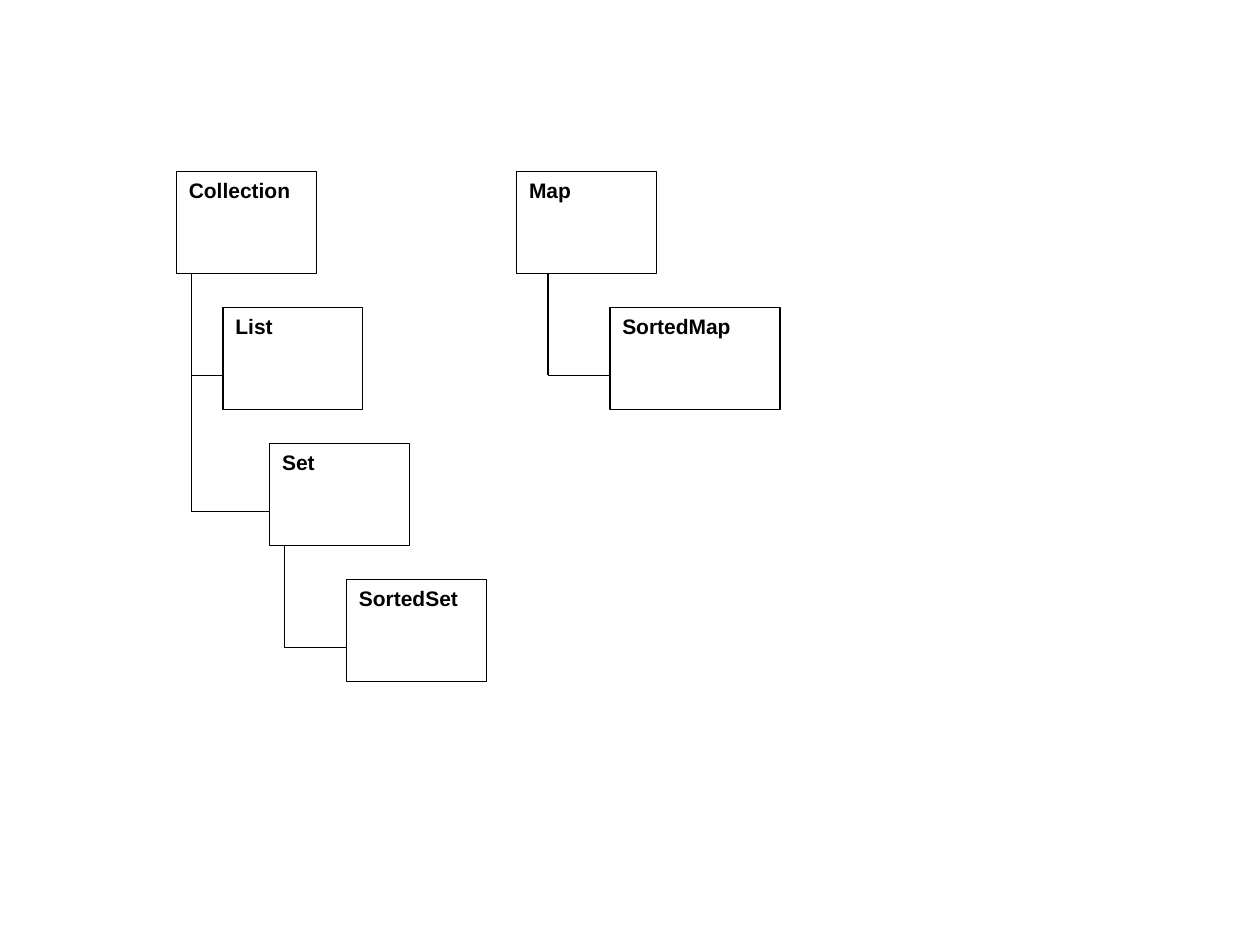
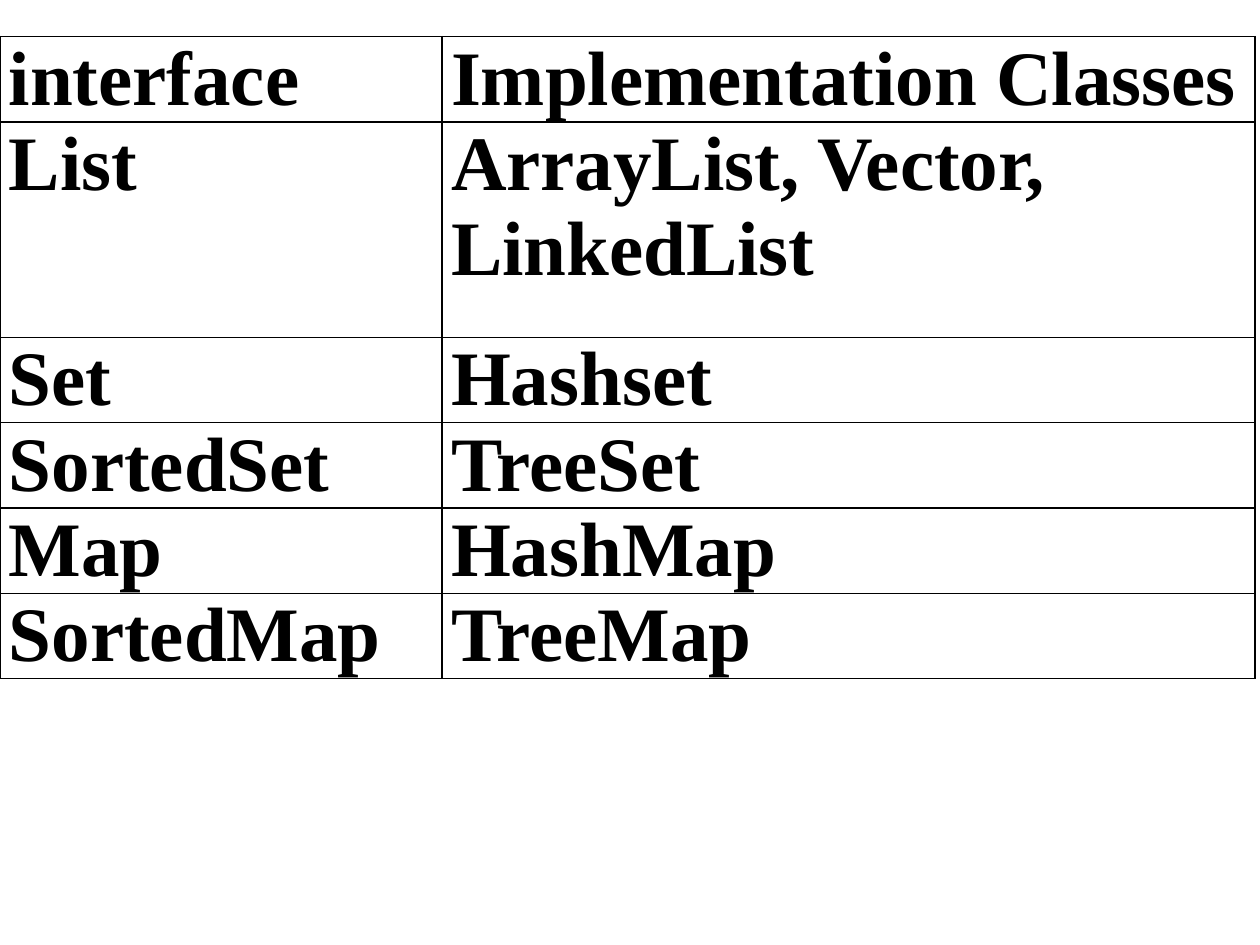
from dataclasses import dataclass

from lxml import etree
from pptx import Presentation
from pptx.dml.color import RGBColor
from pptx.enum import shapes, text
from pptx.oxml import ns
from pptx.util import Inches, Pt


@dataclass(frozen=True)
class Theme:
    ink: RGBColor = RGBColor(0, 0, 0)
    paper: RGBColor = RGBColor(255, 255, 255)
    box_font: str = "Arial"
    box_size: float = 12
    table_font: str = "Times New Roman"
    table_size: float = 44
    line_width: float = 0.75
    border_width: float = 1


THEME = Theme()

# Interface tree: all boxes sit on evenly spaced levels
TOP, LEVEL_STEP = 1.36, 1.08
BOX_WIDTH, BOX_HEIGHT = 1.11, 0.81
BRANCH_DROP = 0.54  # from a box's top to the branch that enters it

# name: (left, level, width)
INTERFACES = {
    "Collection": (1.4, 0, BOX_WIDTH),
    "List": (1.77, 1, BOX_WIDTH),
    "Set": (2.14, 2, BOX_WIDTH),
    "SortedSet": (2.75, 3, BOX_WIDTH),
    "Map": (4.1, 0, BOX_WIDTH),
    "SortedMap": (4.84, 1, 1.35),
}
# parent, distance of the trunk from its left edge, children
FAMILIES = [
    ("Collection", 0.12, ["List", "Set"]),
    ("Set", 0.12, ["SortedSet"]),
    ("Map", 0.25, ["SortedMap"]),
]

# Implementation table
COLUMN_WIDTHS = [3.51, 6.45]
ROW_HEIGHT, LIST_ROW_HEIGHT = 0.54, 1.71
IMPLEMENTATIONS = [
    ("interface", "Implementation Classes"),
    ("List", "ArrayList, Vector, LinkedList"),
    ("Set", "Hashset"),
    ("SortedSet", "TreeSet"),
    ("Map", "HashMap"),
    ("SortedMap", "TreeMap"),
]


def style_font(paragraph, name, size):
    font = paragraph.font
    font.name, font.size, font.bold = name, Pt(size), True
    font.color.rgb = THEME.ink


def level_top(level):
    return TOP + level * LEVEL_STEP


def add_interface(slide, name):
    left, level, width = INTERFACES[name]
    box = slide.shapes.add_shape(
        shapes.MSO_SHAPE.RECTANGLE, Inches(left), Inches(level_top(level)),
        Inches(width), Inches(BOX_HEIGHT))
    box.shadow.inherit = False
    box.fill.solid()
    box.fill.fore_color.rgb = THEME.paper
    box.line.color.rgb = THEME.ink
    box.line.width = Pt(THEME.line_width)
    frame = box.text_frame
    frame.word_wrap = True
    frame.vertical_anchor = text.MSO_ANCHOR.TOP
    label = frame.paragraphs[0]
    label.text = name
    label.alignment = text.PP_ALIGN.LEFT
    style_font(label, THEME.box_font, THEME.box_size)


def add_line(slide, x1, y1, x2, y2):
    line = slide.shapes.add_connector(
        shapes.MSO_CONNECTOR.STRAIGHT,
        Inches(x1), Inches(y1), Inches(x2), Inches(y2))
    line.line.color.rgb = THEME.ink
    line.line.width = Pt(THEME.line_width)
    etree.SubElement(line._element.spPr, ns.qn("a:effectLst"))


def add_family(slide, parent, trunk_offset, children):
    parent_left, parent_level, _ = INTERFACES[parent]
    trunk = parent_left + trunk_offset
    for child in children:
        child_left, child_level, _ = INTERFACES[child]
        branch = level_top(child_level) + BRANCH_DROP
        add_line(slide, trunk, branch, child_left, branch)
    # The trunk reaches down to the last branch
    add_line(slide, trunk, level_top(parent_level) + BOX_HEIGHT, trunk, branch)


def add_borders(cell):
    properties = cell._tc.get_or_add_tcPr()
    for position, side in enumerate(("lnL", "lnR", "lnT", "lnB")):
        border = etree.Element(ns.qn("a:" + side), w=str(Pt(THEME.border_width)))
        fill = etree.SubElement(border, ns.qn("a:solidFill"))
        etree.SubElement(fill, ns.qn("a:srgbClr"), val=str(THEME.ink))
        properties.insert(position, border)


def fill_cell(cell, wording):
    cell.fill.background()
    cell.margin_left = cell.margin_right = Inches(0.07)
    cell.margin_top = cell.margin_bottom = 0
    cell.text = wording
    style_font(cell.text_frame.paragraphs[0], THEME.table_font, THEME.table_size)
    add_borders(cell)


def add_implementations(slide):
    frame = slide.shapes.add_table(
        len(IMPLEMENTATIONS), len(COLUMN_WIDTHS), 0, Inches(0.29),
        Inches(sum(COLUMN_WIDTHS)), Inches(5.37))
    table = frame.table
    table.first_row = table.horz_banding = False
    for column, width in zip(table.columns, COLUMN_WIDTHS):
        column.width = Inches(width)
    for row, entry in zip(table.rows, IMPLEMENTATIONS):
        row.height = Inches(LIST_ROW_HEIGHT if entry[0] == "List" else ROW_HEIGHT)
        for cell, wording in zip(row.cells, entry):
            fill_cell(cell, wording)


def main():
    deck = Presentation()
    deck.slide_width, deck.slide_height = Inches(10), Inches(7.5)
    blank = deck.slide_layouts[6]

    # Slide 1: interface hierarchy
    hierarchy = deck.slides.add_slide(blank)
    for name in INTERFACES:
        add_interface(hierarchy, name)
    for family in FAMILIES:
        add_family(hierarchy, *family)

    # Slide 2: classes that implement each interface
    add_implementations(deck.slides.add_slide(blank))

    deck.save("out.pptx")


main()
